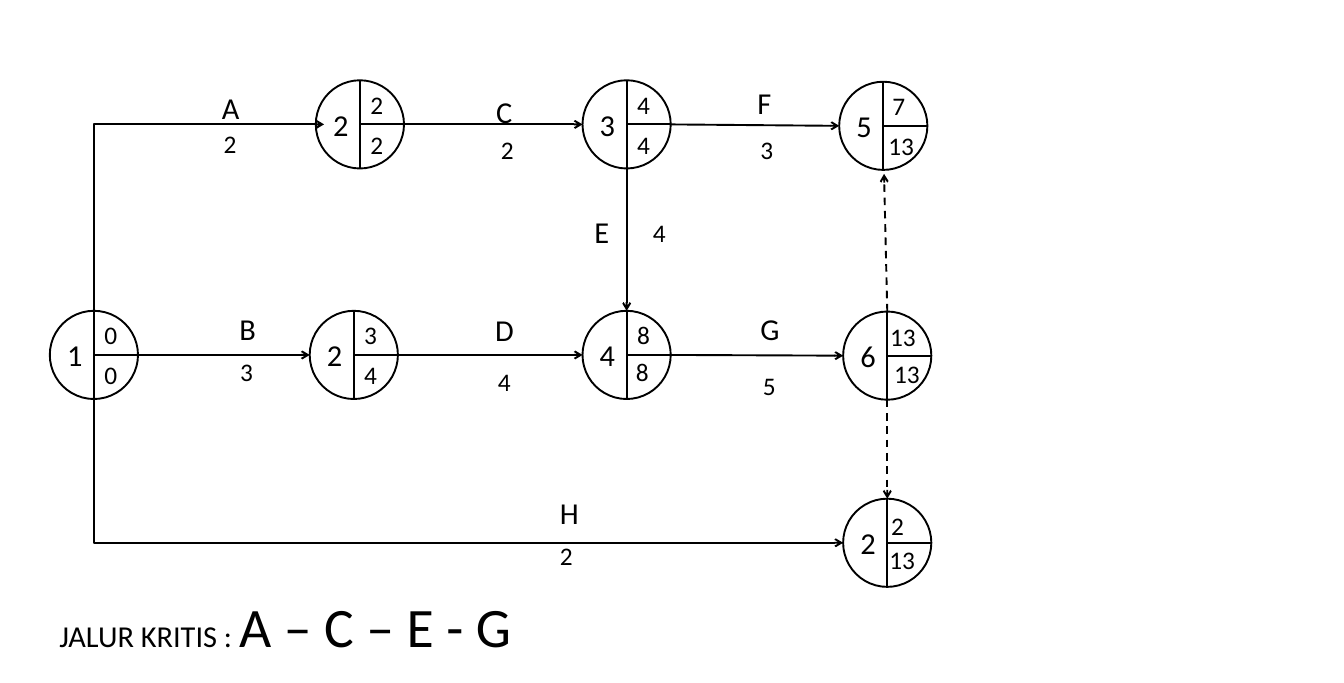
from lxml import etree
from pptx import Presentation
from pptx.dml.color import RGBColor
from pptx.enum.dml import MSO_LINE
from pptx.enum.shapes import MSO_CONNECTOR, MSO_SHAPE
from pptx.enum.text import MSO_ANCHOR, MSO_AUTO_SIZE, PP_ALIGN
from pptx.oxml.ns import qn
from pptx.util import Cm, Pt

STRAIGHT, ELBOW = MSO_CONNECTOR.STRAIGHT, MSO_CONNECTOR.ELBOW
ELLIPSE, DASH = MSO_SHAPE.OVAL, MSO_LINE.DASH
TOP, LEFT, FIXED = MSO_ANCHOR.TOP, PP_ALIGN.LEFT, MSO_AUTO_SIZE.NONE

COLOURS = {"ink": "000000"}
RADIUS = 1.23
NAME_SIZE, VALUE_SIZE, PATH_SIZE = 24, 20, 44

EVENTS = {
    "start": (2.62, 9.9, "1", ("0", 0.04, -1.12), ("0", 0.04, 0)),
    "after_a": (10.04, 3.47, "2", ("2", 0.04, -1.12), ("2", 0.04, 0)),
    "after_b": (9.87, 9.9, "2", ("3", 0.04, -1.12), ("4", 0.04, 0)),
    "after_c": (17.48, 3.47, "3", ("4", 0.04, -1.12), ("4", 0.04, 0)),
    "after_d": (17.48, 9.9, "4", ("8", 0.04, -1.12), ("8", 0.01, -0.08)),
    "after_f": (24.64, 3.51, "5", ("7", 0, -1.12), ("13", -0.11, 0)),
    "after_g": (24.75, 9.92, "6", ("13", -0.17, -1.08), ("13", -0.06, -0.04)),
    "after_h": (24.75, 15.14, "2", ("2", -0.14, -1.03), ("13", -0.19, -0.09)),
}

ACTIVITIES = [
    ("A", 5.94, 2.36, "2", 5.99, 3.45),
    ("B", 6.43, 8.53, "3", 6.45, 9.8),
    ("C", 13.59, 2.46, "2", 13.72, 3.63),
    ("D", 13.56, 8.56, "4", 13.64, 10.08),
    ("E", 16.33, 5.82, "4", 17.96, 5.94),
    ("F", 20.88, 2.21, "3", 20.96, 3.63),
    ("G", 20.96, 8.53, "5", 21.03, 10.21),
    ("H", 15.37, 13.67, "2", 15.37, 14.94),
]

ACROSS = [
    ("start", "after_b"),
    ("after_a", "after_c"),
    ("after_b", "after_d"),
    ("after_c", "after_f"),
    ("after_d", "after_g"),
]


def apply_format(target, values):
    for attribute, value in values.items():
        setattr(target, attribute, value)


def format_font(font, size):
    apply_format(font, {"name": "Calibri", "size": Pt(size), "bold": False})
    font.color.rgb = RGBColor.from_string(COLOURS["ink"])


def format_line(line, dash=None):
    line.color.rgb = RGBColor.from_string(COLOURS["ink"])
    apply_format(line, {"width": Pt(1.5), "dash_style": dash})


def add_label(slide, text, x, y, size):
    width = 0.79 if len(text) == 1 else 1.5
    height = 1.27 if size == NAME_SIZE else 1.12
    label = slide.shapes.add_textbox(Cm(x), Cm(y), Cm(width), Cm(height))
    label.text_frame.word_wrap = True
    run = label.text_frame.paragraphs[0].add_run()
    run.text = text
    format_font(run.font, size)


def add_link(slide, start, end, kind=STRAIGHT, arrow=True, dash=None):
    link = slide.shapes.add_connector(kind, *(Cm(v) for v in (*start, *end)))
    format_line(link.line, dash)
    properties = link._element.spPr
    if arrow:
        outline = properties.find(qn("a:ln"))
        etree.SubElement(outline, qn("a:tailEnd"), type="arrow")
    etree.SubElement(properties, qn("a:effectLst"))
    return link


def add_corner_link(slide, start, end):
    (x1, y1), (x2, y2) = start, end
    middle_x, middle_y = (x1 + x2) / 2, (y1 + y2) / 2
    half_rise, half_run = abs(y2 - y1) / 2, (x2 - x1) / 2
    link = add_link(
        slide,
        (middle_x - half_rise, middle_y - half_run),
        (middle_x + half_rise, middle_y + half_run),
        ELBOW,
    )
    properties = link._element.spPr
    properties.find(qn("a:prstGeom")).set("prst", "bentConnector2")
    turn = {"rot": "16200000", "flipH": "1"}
    if y2 < y1:
        turn = {"rot": "5400000", "flipH": "1", "flipV": "1"}
    for attribute, value in turn.items():
        properties.find(qn("a:xfrm")).set(attribute, value)


def add_event(slide, x, y, number, early, late):
    circle = slide.shapes.add_shape(
        ELLIPSE, Cm(x - RADIUS), Cm(y - RADIUS), Cm(2 * RADIUS), Cm(2 * RADIUS)
    )
    circle.shadow.inherit = False
    circle.fill.background()
    format_line(circle.line)
    add_link(slide, (x, y - RADIUS), (x, y + RADIUS), arrow=False)
    add_link(slide, (x + RADIUS, y), (x, y), arrow=False)
    add_label(slide, number, x - 1, y - 0.64, NAME_SIZE)
    for time, dx, dy in (early, late):
        add_label(slide, time, x + dx, y + dy, VALUE_SIZE)


def edge(event, dx, dy):
    x, y = EVENTS[event][:2]
    return x + dx * RADIUS, y + dy * RADIUS


def add_critical_path(slide):
    conclusion = slide.shapes.title
    apply_format(conclusion, {
        "left": Cm(1.4), "top": Cm(16.38), "width": Cm(21.26), "height": Cm(2.13),
    })
    frame = conclusion.text_frame
    apply_format(frame, {
        "word_wrap": True, "auto_size": FIXED, "vertical_anchor": TOP,
    })
    paragraph = frame.paragraphs[0]
    paragraph.alignment = LEFT
    for text, size in (("JALUR KRITIS : ", NAME_SIZE), ("A – C – E - G", PATH_SIZE)):
        run = paragraph.add_run()
        run.text = text
        format_font(run.font, size)


def main():
    deck = Presentation()
    apply_format(deck, {"slide_width": Cm(37.49), "slide_height": Cm(19.05)})
    slide = deck.slides.add_slide(deck.slide_layouts[5])

    for event in EVENTS.values():
        add_event(slide, *event)
    for source, target in ACROSS:
        add_link(slide, edge(source, 1, 0), edge(target, -1, 0))
    add_link(slide, edge("after_c", 0, 1), edge("after_d", 0, -1))
    add_link(slide, edge("after_g", 0, 1), edge("after_h", 0, -1), dash=DASH)
    add_link(slide, edge("after_g", 0, -1), (24.66, 4.85), dash=DASH)
    add_corner_link(slide, edge("start", 0, -1), (9.04, 3.47))
    add_corner_link(slide, edge("start", 0, 1), edge("after_h", -1, 0))

    for name, name_x, name_y, duration, duration_x, duration_y in ACTIVITIES:
        add_label(slide, name, name_x, name_y, NAME_SIZE)
        add_label(slide, duration, duration_x, duration_y, VALUE_SIZE)
    add_critical_path(slide)
    deck.save("out.pptx")


if __name__ == "__main__":
    main()
